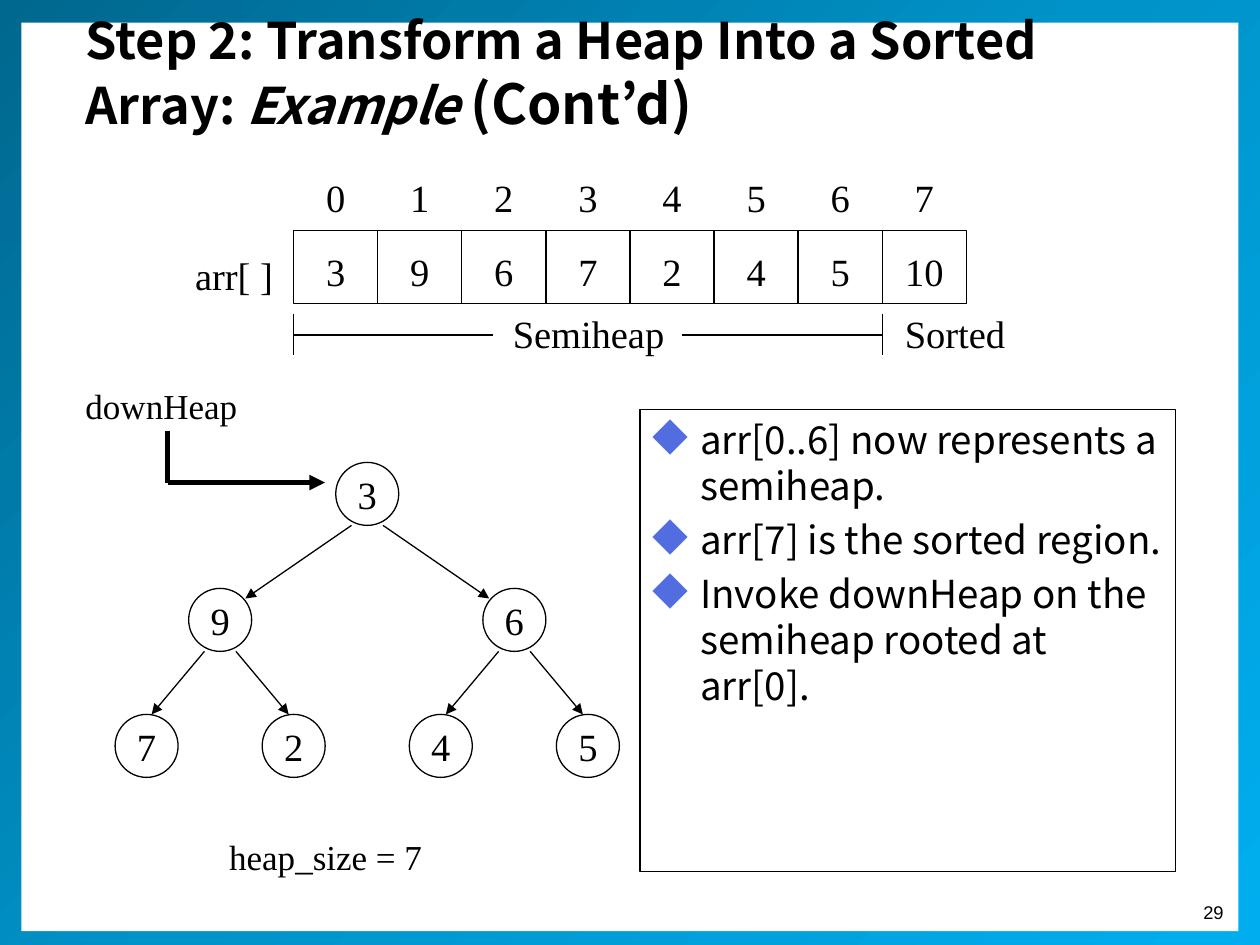
from copy import deepcopy

from pptx import Presentation
from pptx.dml.color import RGBColor
from pptx.enum.shapes import MSO_CONNECTOR, MSO_SHAPE
from pptx.enum.text import MSO_ANCHOR, PP_ALIGN
from pptx.oxml.ns import qn
from pptx.oxml.xmlchemy import OxmlElement
from pptx.util import Inches, Pt

BLACK = RGBColor(0x00, 0x00, 0x00)
WHITE = RGBColor(0xFF, 0xFF, 0xFF)
BACKDROP = RGBColor(0xD9, 0xD9, 0xD9)
BULLET_BLUE = RGBColor(0x52, 0x6D, 0xE0)
FRAME_BLUES = [RGBColor(0x00, 0x67, 0x8E), RGBColor(0x00, 0x93, 0xC9), RGBColor(0x00, 0xAE, 0xEF)]
SANS = "Noto Sans CJK KR"
SERIF = "Times New Roman"


def add_run(paragraph, text, size, font=SERIF, bold=False, italic=False):
    run = paragraph.add_run()
    run.text = text
    run.font.name = font
    run.font.size = Pt(size)
    run.font.bold = bold
    run.font.italic = italic
    run.font.color.rgb = BLACK


def add_label(slide, text, left, top, width, height, size=22, font=SERIF,
              align=PP_ALIGN.LEFT, anchor=MSO_ANCHOR.MIDDLE):
    box = slide.shapes.add_textbox(Inches(left), Inches(top), Inches(width), Inches(height))
    frame = box.text_frame
    frame.word_wrap = False
    frame.vertical_anchor = anchor
    frame.paragraphs[0].alignment = align
    add_run(frame.paragraphs[0], text, size, font)


def add_outline(slide, kind, left, top, width, height):
    shape = slide.shapes.add_shape(kind, Inches(left), Inches(top), Inches(width), Inches(height))
    shape.shadow.inherit = False
    shape.fill.background()
    shape.line.color.rgb = BLACK
    shape.line.width = Pt(0.75)
    return shape


def add_value(slide, kind, text, left, top, width, height, drop=0.0):
    """Outlined shape with its value centred, lowered by half of drop."""
    frame = add_outline(slide, kind, left, top, width, height).text_frame
    frame.margin_left = frame.margin_right = frame.margin_bottom = 0
    frame.margin_top = Inches(drop)
    frame.word_wrap = False
    frame.vertical_anchor = MSO_ANCHOR.MIDDLE
    frame.paragraphs[0].alignment = PP_ALIGN.CENTER
    add_run(frame.paragraphs[0], text, 22)


def add_line(slide, start, end, width=0.75, arrow=False):
    line = slide.shapes.add_connector(MSO_CONNECTOR.STRAIGHT, *map(Inches, start + end))
    line.line.color.rgb = BLACK
    line.line.width = Pt(width)
    if arrow:
        head = OxmlElement("a:tailEnd")
        head.set("type", "triangle")
        line.line._get_or_add_ln().append(head)
    line._element.spPr.append(OxmlElement("a:effectLst"))


def add_page_frame(slide):
    slide.background.fill.solid()
    slide.background.fill.fore_color.rgb = BACKDROP

    # Gradient border
    border = add_outline(slide, MSO_SHAPE.RECTANGLE, 0, -0.04, 10, 7.59)
    border.line.fill.background()
    border.fill.gradient()
    border.fill.gradient_angle = 315
    first_stop = border._element.spPr.find(qn("a:gradFill")).find(qn("a:gsLst"))[0]
    first_stop.addnext(deepcopy(first_stop))
    for index, stop in enumerate(border.fill.gradient_stops):
        stop.position = index / 2
        stop.color.rgb = FRAME_BLUES[index]

    # White page
    page = add_outline(slide, MSO_SHAPE.RECTANGLE, 0.17, 0.18, 9.66, 7.21)
    page.line.fill.background()
    page.fill.solid()
    page.fill.fore_color.rgb = WHITE

    add_label(slide, "29", 9.42, 7.1, 0.39, 0.28, 10.5, "Arial", PP_ALIGN.RIGHT, MSO_ANCHOR.TOP)


def add_title(slide, left, top, width, height):
    title = slide.shapes.title
    title.element.getparent().append(title.element)  # in front of the page frame
    title.left, title.top, title.width, title.height = map(Inches, (left, top, width, height))
    title.text_frame.vertical_anchor = MSO_ANCHOR.MIDDLE
    title.text_frame.word_wrap = True
    paragraph = title.text_frame.paragraphs[0]
    paragraph.alignment = PP_ALIGN.LEFT
    add_run(paragraph, "Step 2: Transform a Heap Into a Sorted Array: ", 28.8, SANS, bold=True)
    add_run(paragraph, "Example ", 28.8, SANS, bold=True, italic=True)
    add_run(paragraph, "(Cont’d)", 31.5, SANS, bold=True)


def add_bullet(paragraph):
    properties = paragraph._p.get_or_add_pPr()
    properties.set("marL", str(Inches(0.38)))
    properties.set("indent", str(Inches(-0.38)))
    color = OxmlElement("a:buClr")
    value = OxmlElement("a:srgbClr")
    value.set("val", str(BULLET_BLUE))
    color.append(value)
    size = OxmlElement("a:buSzPct")
    size.set("val", "120000")
    character = OxmlElement("a:buChar")
    character.set("char", "◆")
    for element in (color, size, character):
        properties.append(element)


def add_notes_panel(slide, left, top, width, height, points):
    frame = add_outline(slide, MSO_SHAPE.RECTANGLE, left, top, width, height).text_frame
    frame.word_wrap = True
    frame.vertical_anchor = MSO_ANCHOR.TOP
    for index, point in enumerate(points):
        paragraph = frame.add_paragraph() if index else frame.paragraphs[0]
        paragraph.alignment = PP_ALIGN.LEFT
        paragraph.space_before = Pt(4.4)
        add_bullet(paragraph)
        add_run(paragraph, point, 22, SANS)


def add_array(slide, left, top, width, height, values, heap_size):
    cell = width / len(values)
    for index, value in enumerate(values):
        x = left + index * cell
        add_label(slide, str(index), x, top - 0.5, cell, 0.47,
                  align=PP_ALIGN.CENTER, anchor=MSO_ANCHOR.TOP)
        add_value(slide, MSO_SHAPE.RECTANGLE, str(value), x, top, cell, height, drop=0.06)
    add_label(slide, "arr[ ]", left - 0.88, top + 0.12, 0.83, 0.47)

    # Range marker below the cells
    split = left + heap_size * cell
    middle = (left + split) / 2
    marker = top + height + 0.25
    for edge, inner in ((left, middle - 0.75), (split, middle + 0.75)):
        add_line(slide, (edge, marker - 0.17), (edge, marker + 0.16))
        add_line(slide, (min(edge, inner), marker), (max(edge, inner), marker))
    add_label(slide, "Semiheap", middle - 0.7, marker - 0.25, 1.41, 0.47, align=PP_ALIGN.CENTER)
    add_label(slide, "Sorted", split + 0.08, marker - 0.25, 1, 0.47)


def add_heap(slide, left, top, width, levels):
    diameter, row_gap = 0.5, 1.0
    # Where an arrow meets a child: shift towards the parent, depth below its top
    contacts = {1: (0.2, 0.08), 2: (0.04, 0)}

    def center(level, index):
        return left + (index + 0.5) * width / len(levels[level])

    for level, values in enumerate(levels):
        y = top + level * row_gap
        for index, value in enumerate(values):
            x = center(level, index)
            add_value(slide, MSO_SHAPE.OVAL, str(value), x - diameter / 2, y, diameter, diameter)
            if level:
                side = 1 if index % 2 else -1
                shift, depth = contacts[level]
                start = (center(level - 1, index // 2) + side * 0.125, y - row_gap + diameter)
                add_line(slide, start, (x - side * shift, y + depth), arrow=True)


def add_down_heap_pointer(slide, left, top):
    add_label(slide, "downHeap", left, top, 1.42, 0.44, 20)
    corner = (left + 0.75, top + 0.83)
    add_line(slide, (corner[0], top + 0.42), corner, 3)
    add_line(slide, corner, (left + 2, corner[1]), 3, arrow=True)


def main():
    presentation = Presentation()
    presentation.slide_width = Inches(10)
    presentation.slide_height = Inches(7.5)
    slide = presentation.slides.add_slide(presentation.slide_layouts[5])

    add_page_frame(slide)
    add_title(slide, 0.58, 0, 8.83, 1.15)
    add_notes_panel(slide, 5.08, 3.25, 4.25, 3.67, [
        "arr[0..6] now represents a semiheap.",
        "arr[7] is the sorted region.",
        "Invoke downHeap on the semiheap rooted at arr[0].",
    ])
    add_heap(slide, 0.58, 3.67, 4.67, [[3], [9, 6], [7, 2, 4, 5]])
    add_array(slide, 2.33, 1.83, 5.34, 0.58, [3, 9, 6, 7, 2, 4, 5, 10], heap_size=7)
    add_down_heap_pointer(slide, 0.58, 3)
    add_label(slide, "heap_size = 7", 1.72, 6.58, 2.28, 0.44, 20, anchor=MSO_ANCHOR.TOP)

    presentation.save("out.pptx")


if __name__ == "__main__":
    main()
